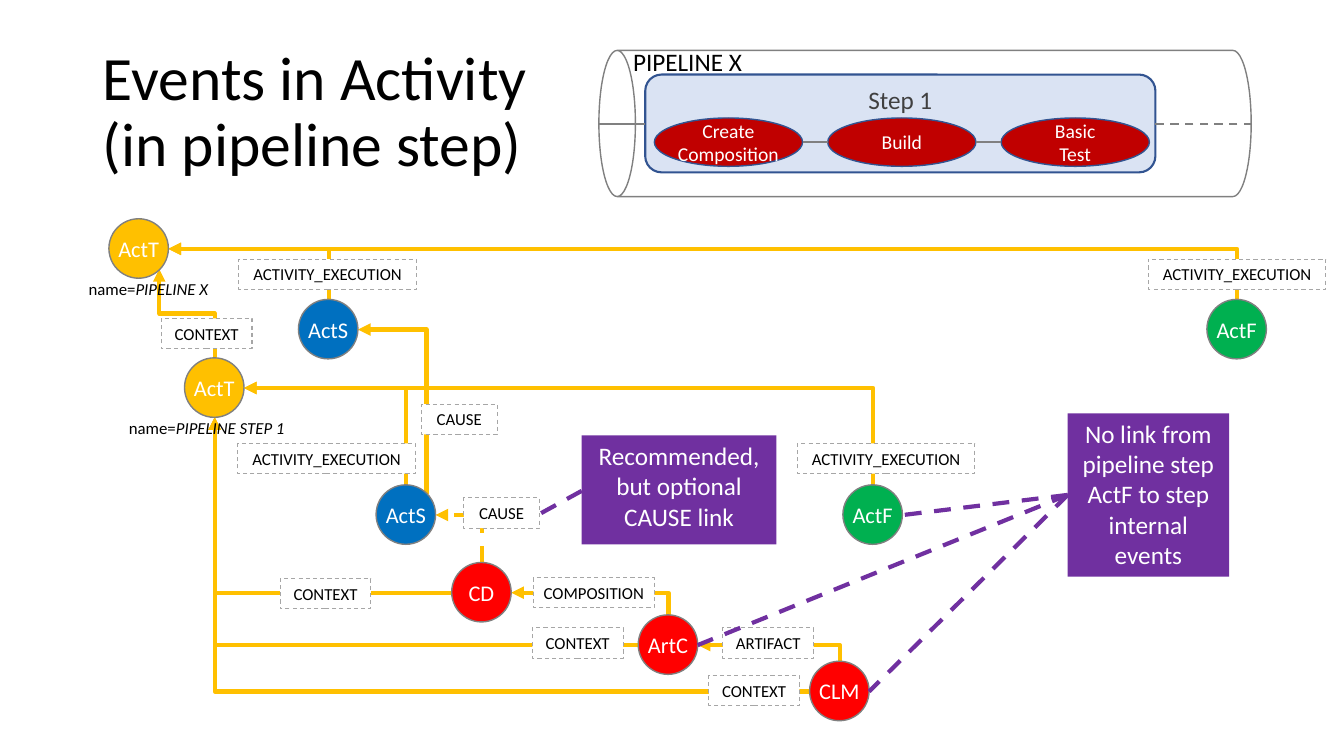
from copy import deepcopy
from dataclasses import dataclass
from typing import Optional

from pptx import Presentation
from pptx.dml.color import RGBColor
from pptx.enum.dml import MSO_LINE
from pptx.enum.shapes import MSO_CONNECTOR, MSO_SHAPE
from pptx.enum.text import MSO_ANCHOR, MSO_AUTO_SIZE, PP_ALIGN
from pptx.oxml.ns import qn
from pptx.util import Emu, Pt

EMU_PER_PX = 9144
DIAMETER = 59
RADIUS = 30
LABEL_HEIGHT = 30
FONT = "Calibri"
WHITE, BLACK, GRAY = "FFFFFF", "000000", "808080"
YELLOW, BLUE, GREEN, RED = "FFC000", "0070C0", "00B050", "FF0000"
PURPLE, NAVY = "7030A0", "325491"

Point = tuple[int, int]
Box = tuple[int, int, int, int]

SITES = {
    "top": (RADIUS, 0),
    "right": (DIAMETER, RADIUS),
    "bottom": (RADIUS, DIAMETER),
    "left": (0, RADIUS),
    "upper right": (50, 9),
    "lower right": (50, 50),
}


@dataclass(frozen=True)
class Event:
    text: str
    color: str
    left: int
    top: int

    def site(self, name: str) -> Point:
        across, down = SITES[name]
        return self.left + across, self.top + down


@dataclass(frozen=True)
class Link:
    source: str
    target: str
    source_site: str = "top"
    target_site: str = "right"
    geometry: str = "bentConnector2"
    dashed: bool = False


@dataclass(frozen=True)
class Label:
    text: str
    left: int
    top: int


@dataclass(frozen=True)
class Line:
    start: Point
    end: Point
    color: str
    width: float
    dashed: bool = False


EVENTS = {
    "pipeline triggered": Event("ActT", YELLOW, 108, 217),
    "pipeline started": Event("ActS", BLUE, 296, 297),
    "pipeline finished": Event("ActF", GREEN, 1197, 297),
    "step triggered": Event("ActT", YELLOW, 183, 355),
    "step started": Event("ActS", BLUE, 373, 481),
    "step finished": Event("ActF", GREEN, 836, 481),
    "composition": Event("CD", RED, 448, 558),
    "artifact": Event("ArtC", RED, 633, 610),
    "confidence": Event("CLM", RED, 803, 656),
}

LINKS = [
    Link("pipeline finished", "pipeline triggered"),
    Link("pipeline started", "pipeline triggered"),
    Link("step finished", "step triggered"),
    Link("step started", "step triggered"),
    Link("step triggered", "pipeline triggered", "top", "lower right", "bentConnector3"),
    Link("step started", "pipeline started", "upper right"),
    Link("composition", "step triggered", "left", "bottom"),
    Link("artifact", "step triggered", "left", "bottom"),
    Link("confidence", "step triggered", "left", "bottom"),
    Link("artifact", "composition"),
    Link("confidence", "artifact"),
    Link("composition", "step started", dashed=True),
]

LABEL_WIDTHS = {"ACTIVITY_EXECUTION": 176, "CONTEXT": 90, "CAUSE": 75, "COMPOSITION": 120, "ARTIFACT": 90}
LABELS = [
    Label("ACTIVITY_EXECUTION", 237, 257),
    Label("ACTIVITY_EXECUTION", 1139, 257),
    Label("ACTIVITY_EXECUTION", 236, 440),
    Label("ACTIVITY_EXECUTION", 791, 440),
    Label("CONTEXT", 160, 316),
    Label("CONTEXT", 278, 574),
    Label("CONTEXT", 528, 623),
    Label("CONTEXT", 703, 670),
    Label("CAUSE", 418, 401),
    Label("CAUSE", 460, 494),
    Label("COMPOSITION", 529, 573),
    Label("ARTIFACT", 717, 623),
]

NOTES = {
    "No link from pipeline step ActF to step internal events": (1059, 410, 160, 162),
    "Recommended, but optional CAUSE link": (577, 432, 193, 108),
}
NOTE_CORNER = (1059, 491)
NOTE_LINES = [
    Line(NOTE_CORNER, EVENTS[name].site("right"), PURPLE, 3, True)
    for name in ("confidence", "step finished", "artifact")
] + [Line((577, 487), (535, 510), PURPLE, 3, True)]

ACTIVITIES = ["Create\nComposition", "Build", "Basic\nTest"]
ACTIVITY_LEFT, ACTIVITY_STEP, ACTIVITY_WIDTH = 649, 172, 147
PIPE_LINES = [
    Line((640, 123), (594, 123), GRAY, 1.5),
    Line((1242, 123), (1146, 123), GRAY, 1.5, True),
]


def px(length: float) -> Emu:
    return Emu(round(length * EMU_PER_PX))


def rgb(color: str) -> RGBColor:
    return RGBColor.from_string(color)


def write(shape, text: str, *, size: int, color: str = BLACK, italic_text: str = "",
          align=PP_ALIGN.CENTER, anchor=MSO_ANCHOR.TOP, wrap: bool = True,
          grow: bool = False, inset: Optional[int] = None, spacing: Optional[float] = None) -> None:
    frame = shape.text_frame
    frame.word_wrap = wrap
    frame.vertical_anchor = anchor
    frame.auto_size = MSO_AUTO_SIZE.SHAPE_TO_FIT_TEXT if grow else MSO_AUTO_SIZE.NONE
    if inset is not None:
        frame.margin_left = frame.margin_right = frame.margin_top = frame.margin_bottom = px(inset)
    paragraph = frame.paragraphs[0]
    paragraph.text = text
    paragraph.alignment = align
    paragraph.line_spacing = spacing
    if italic_text:
        run = paragraph.add_run()
        run.text = italic_text
        run.font.italic = True
    for run in paragraph.runs:
        run.font.name, run.font.size = FONT, Pt(size)
        run.font.color.rgb = rgb(color)
    for line_break in paragraph._p.findall(qn("a:br")):
        line_break.append(deepcopy(paragraph.runs[0]._r.rPr))


def style_line(line, color: str, width: float, dashed: bool) -> None:
    line.color.rgb = rgb(color)
    line.width = Pt(width)
    if dashed:
        line.dash_style = MSO_LINE.DASH


def add_box(slide, kind, box: Box, *, fill: Optional[str] = None, line: Optional[str] = None,
            width: float = 1, dashed: bool = False):
    shape = slide.shapes.add_shape(kind, *map(px, box))
    shape.shadow.inherit = False
    if fill:
        shape.fill.solid()
        shape.fill.fore_color.rgb = rgb(fill)
    else:
        shape.fill.background()
    if line:
        style_line(shape.line, line, width, dashed)
    else:
        shape.line.fill.background()
    return shape


def add_line(slide, line: Line, kind=MSO_CONNECTOR.STRAIGHT):
    connector = slide.shapes.add_connector(kind, *map(px, line.start + line.end))
    style_line(connector.line, line.color, line.width, line.dashed)
    properties = connector._element.spPr
    properties.append(properties.makeelement(qn("a:effectLst"), {}))
    return connector


def add_link(slide, link: Link) -> None:
    start = EVENTS[link.source].site(link.source_site)
    end = EVENTS[link.target].site(link.target_site)
    connector = add_line(slide, Line(start, end, YELLOW, 3, link.dashed), MSO_CONNECTOR.ELBOW)
    properties = connector._element.spPr
    properties.find(qn("a:prstGeom")).set("prst", link.geometry)
    if link.source_site != "left":
        run, rise = start[0] - end[0], start[1] - end[1]
        connector.left = px((start[0] + end[0] - rise) / 2)
        connector.top = px((start[1] + end[1] - run) / 2)
        connector.width, connector.height = px(rise), px(run)
        transform = properties.find(qn("a:xfrm"))
        for name, value in {"rot": "16200000", "flipH": "0", "flipV": "1"}.items():
            transform.set(name, value)
    outline = properties.find(qn("a:ln"))
    outline.append(outline.makeelement(qn("a:tailEnd"), {"type": "triangle"}))


def add_caption(slide, box: Box, text: str, *, size: int, italic_text: str = "") -> None:
    caption = slide.shapes.add_textbox(*map(px, box))
    write(caption, text, size=size, italic_text=italic_text, align=PP_ALIGN.LEFT, wrap=False, grow=True)


def add_event_graph(slide) -> None:
    for link in LINKS:
        add_link(slide, link)
    for event in EVENTS.values():
        circle = add_box(slide, MSO_SHAPE.FLOWCHART_CONNECTOR, (event.left, event.top, DIAMETER, DIAMETER),
                         fill=event.color, line=GRAY)
        write(circle, event.text, size=16, color=WHITE, anchor=MSO_ANCHOR.MIDDLE, inset=0)
    for label in LABELS:
        box = (label.left, label.top, LABEL_WIDTHS[label.text], LABEL_HEIGHT)
        shape = add_box(slide, MSO_SHAPE.RECTANGLE, box, fill=WHITE, line="A6A6A6", width=0.75, dashed=True)
        write(shape, label.text, size=12, grow=True)
    add_caption(slide, (78, 272, 140, 30), "name=", size=12, italic_text="PIPELINE X")
    add_caption(slide, (118, 410, 177, 30), "name=", size=12, italic_text="PIPELINE STEP 1")
    for line in NOTE_LINES:
        add_line(slide, line)
    for text, box in NOTES.items():
        note = add_box(slide, MSO_SHAPE.RECTANGLE, box, fill=PURPLE)
        write(note, text, size=18, color=WHITE, grow=True)


def add_pipeline(slide) -> None:
    pipe = add_box(slide, MSO_SHAPE.CAN, (845, -201, 145, 647), line=GRAY)
    pipe.rotation = 270
    add_caption(slide, (618, 41, 129, 40), "PIPELINE X", size=18)
    step = add_box(slide, MSO_SHAPE.ROUNDED_RECTANGLE, (640, 74, 506, 97), fill="DAE3F3", line=NAVY, width=1.5)
    write(step, "Step 1", size=18, color="404040")
    for line in PIPE_LINES:
        add_line(slide, line)
    for index, text in enumerate(ACTIVITIES):
        left = ACTIVITY_LEFT + index * ACTIVITY_STEP
        ellipse = add_box(slide, MSO_SHAPE.OVAL, (left, 117, ACTIVITY_WIDTH, 48), fill="C00000", line=NAVY)
        write(ellipse, text, size=14, color=WHITE, anchor=MSO_ANCHOR.MIDDLE, inset=0)
        if index:
            previous_right = left - ACTIVITY_STEP + ACTIVITY_WIDTH
            add_line(slide, Line((left, 141), (previous_right, 141), GRAY, 1.5))


def main() -> None:
    presentation = Presentation()
    presentation.slide_width, presentation.slide_height = px(1333), px(750)
    slide = presentation.slides.add_slide(presentation.slide_layouts[5])
    title = slide.shapes.title
    title.left, title.top, title.width, title.height = map(px, (92, 40, 1150, 145))
    write(title, "Events in Activity\n(in pipeline step)", size=44, align=PP_ALIGN.LEFT,
          anchor=MSO_ANCHOR.MIDDLE, spacing=0.9)
    add_event_graph(slide)
    add_pipeline(slide)
    presentation.save("out.pptx")


if __name__ == "__main__":
    main()
